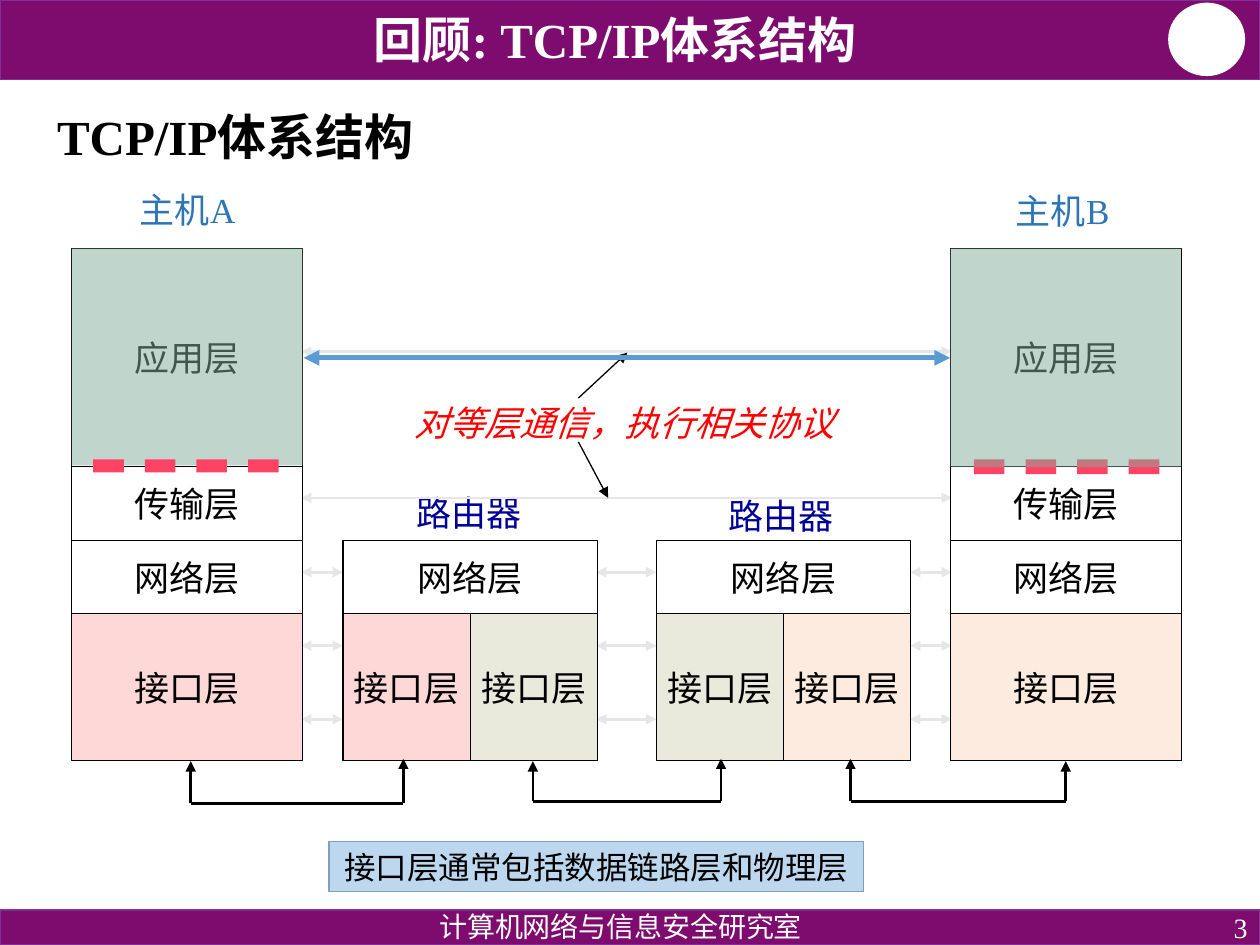
from dataclasses import dataclass

from lxml import etree
from pptx import Presentation
from pptx.dml.color import RGBColor as RGB
from pptx.enum.shapes import MSO_CONNECTOR as CONN, MSO_SHAPE as SHAPE
from pptx.enum.text import MSO_ANCHOR as ANCHOR, MSO_AUTO_SIZE as AUTO, PP_ALIGN as ALIGN
from pptx.oxml.ns import qn
from pptx.util import Pt


@dataclass(frozen=True)
class Theme:
    font: str = "Times New Roman"
    note_font: str = "Calibri"
    title: int = 28
    body: int = 20
    note: int = 18
    footer: int = 16
    purple: str = "7E0C6E"
    purple_edge: str = "7F2F95"
    white: str = "FFFFFF"
    black: str = "000000"
    red: str = "FF0000"
    navy: str = "000099"
    blue: str = "2E75B6"
    arrow: str = "5B9BD5"
    grey: str = "E7E6E6"
    pink: str = "FD9D9A"
    peach: str = "F9CDAD"
    olive: str = "C8C8A9"
    green: str = "83AF9B"
    dash: str = "FE4365"
    note_fill: str = "BDD7EE"
    note_edge: str = "7F9FBF"


T = Theme()
prs = Presentation()
prs.slide_width, prs.slide_height = Pt(720), Pt(540)
s = prs.slides.add_slide(prs.slide_layouts[5])


def write(sp, text, size=T.body, color=T.black, align=ALIGN.CENTER, anchor=ANCHOR.MIDDLE,
          wrap=False, bold=False, italic=False, font=T.font, spacing=None):
    tf = sp.text_frame
    tf.auto_size, tf.word_wrap, tf.vertical_anchor = AUTO.NONE, wrap, anchor
    p = tf.paragraphs[0]
    p.alignment, p.line_spacing = align, spacing
    r = p.add_run()
    r.text = text
    r.font.name, r.font.size = font, Pt(size)
    r.font.bold, r.font.italic = bold, italic
    r.font.color.rgb = RGB.from_string(color)


def box(x, y, w, h, fill, edge=None, width=0.75, alpha=None, kind=SHAPE.RECTANGLE):
    sp = s.shapes.add_shape(kind, Pt(x), Pt(y), Pt(w), Pt(h))
    sp.shadow.inherit = False
    sp.fill.solid()
    sp.fill.fore_color.rgb = RGB.from_string(fill)
    if alpha:
        color = sp.element.spPr.find(qn("a:solidFill"))[0]
        etree.SubElement(color, qn("a:alpha"), val=str(alpha * 1000))
    if edge:
        sp.line.color.rgb, sp.line.width = RGB.from_string(edge), Pt(width)
    else:
        sp.line.fill.background()
    return sp


box(0, 0, 720, 45.5, T.purple, T.purple_edge, 1)
box(668, 2, 43, 41, T.white, T.white, 1, kind=SHAPE.OVAL)
box(0, 520, 720, 20, T.purple, T.purple_edge, 1)

title = s.shapes.title
title.left, title.top, title.width, title.height = Pt(179.5), Pt(3), Pt(344), Pt(42.5)
title.element.getparent().append(title.element)
write(title, "回顾: TCP/IP体系结构", T.title, T.white, wrap=True, bold=True, spacing=0.9)

texts = [
    (558, 520, 162, 20, "3", dict(size=T.footer, color=T.white, align=ALIGN.RIGHT, wrap=True)),
    (193.5, 518.5, 322.5, 20, "计算机网络与信息安全研究室",
     dict(size=T.footer, color=T.white, anchor=ANCHOR.TOP, wrap=True, spacing=0.9)),
    (25.5, 48, 646.5, 63.5, "TCP/IP体系结构",
     dict(size=T.title, align=ALIGN.LEFT, wrap=True, bold=True, spacing=0.9)),
    (228.5, 226, 257, 31.5, "对等层通信，执行相关协议",
     dict(color=T.red, anchor=ANCHOR.TOP, italic=True)),
    (230.5, 277.5, 75, 31.5, "路由器", dict(color=T.navy, anchor=ANCHOR.TOP)),
    (409, 279, 75, 31.5, "路由器", dict(color=T.navy, anchor=ANCHOR.TOP)),
    (47.5, 104, 119.5, 31.5, "主机A", dict(color=T.blue, anchor=ANCHOR.TOP, wrap=True)),
    (547.5, 104.5, 119.5, 31.5, "主机B", dict(color=T.blue, anchor=ANCHOR.TOP, wrap=True)),
]
for x, y, w, h, text, style in texts:
    write(s.shapes.add_textbox(Pt(x), Pt(y), Pt(w), Pt(h)), text, **style)

BOTH, END, PLAIN = ("headEnd", "tailEnd"), ("tailEnd",), ()
lines = [(172, y, 544, y, T.grey, 1.5, BOTH) for y in (201, 284.5)]
for x1, x2 in ((172, 196), (340.5, 375), (520, 544)):
    lines += [(x1, y, x2, y, T.grey, 1.5, BOTH) for y in (327, 369, 411)]
for x1, x2, y, top1, top2 in ((109, 230.5, 459, 435, 433.5),
                              (304.5, 412, 458, 435, 433.5),
                              (486, 609, 458, 433.5, 435)):
    lines += [(x1, y, x2, y, T.black, 1.5, PLAIN),
              (x1, y, x1, top1, T.black, 1.5, END),
              (x2, y, x2, top2, T.black, 1.5, END)]
lines += [(330.5, 227.5, 358.5, 201.5, T.black, 0.75, END),
          (330.5, 252.5, 347.5, 284.5, T.black, 0.75, END),
          (173.5, 204.5, 543, 204.5, T.arrow, 3, BOTH)]
for x1, y1, x2, y2, color, width, ends in lines:
    c = s.shapes.add_connector(CONN.STRAIGHT, Pt(x1), Pt(y1), Pt(x2), Pt(y2))
    c.line.color.rgb, c.line.width = RGB.from_string(color), Pt(width)
    for end in ends:
        etree.SubElement(c.line._get_or_add_ln(), qn("a:" + end), type="triangle")
    etree.SubElement(c.element.spPr, qn("a:effectLst"))

layers = []
for x, fill, alpha in ((41, T.pink, 39), (543, T.peach, 40)):
    layers += [(x, 142, 132, 125, "应用层", T.white, None),
               (x, 266.75, 132, 42, "传输层", T.white, None),
               (x, 308.75, 132, 42, "网络层", T.white, None),
               (x, 350.75, 132, 84, "接口层", fill, alpha)]
for x, left, right, alpha in ((196, T.pink, T.olive, 39), (375, T.olive, T.peach, 40)):
    layers += [(x, 308.75, 145.5, 42, "网络层", T.white, None),
               (x, 350.75, 72.75, 84, "接口层", left, alpha),
               (x + 72.75, 350.75, 72.75, 84, "接口层", right, 40)]
for x, y, w, h, text, fill, alpha in layers:
    write(box(x, y, w, h, fill, T.black, alpha=alpha), text)

box(41, 142, 132, 124, T.green, alpha=50)
for x, h in ((53.25, 7.5), (556.5, 8.5)):
    for i in range(4):
        box(x + i * 29.5, 262.5, 17.5, h, T.dash)
box(543, 142, 132, 125, T.green, alpha=50)

note = box(188, 481, 305.5, 28.5, T.note_fill, T.note_edge)
write(note, "接口层通常包括数据链路层和物理层", T.note, font=T.note_font)

prs.save("out.pptx")
